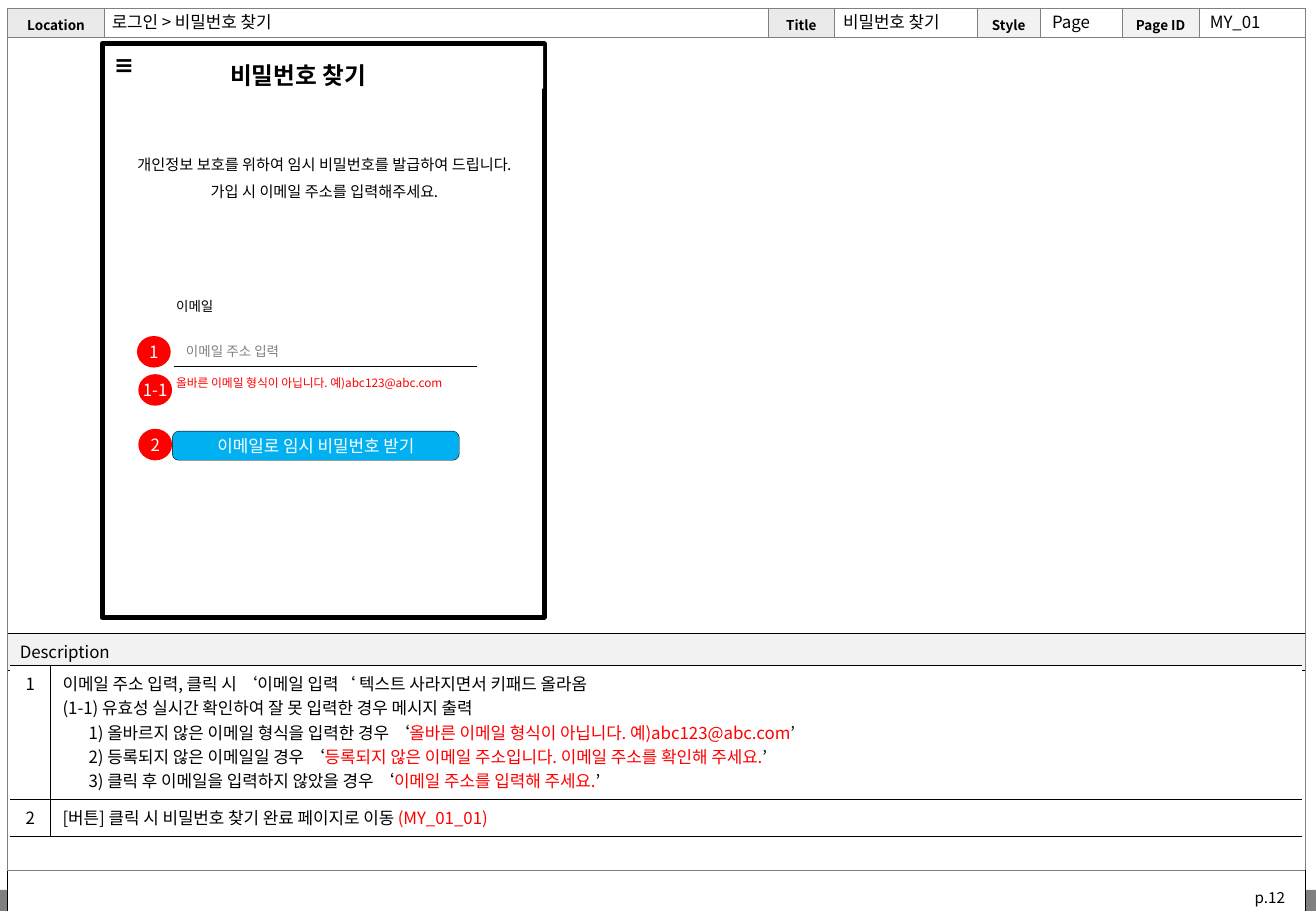
from lxml import etree
from pptx import Presentation
from pptx import util as u
from pptx.dml import color as dml
from pptx.enum import shapes, text
from pptx.oxml import ns

Pt = u.Pt
LEFT, CENTER = text.PP_ALIGN.LEFT, text.PP_ALIGN.CENTER
TOP, MIDDLE, BOTTOM = (text.MSO_ANCHOR.TOP, text.MSO_ANCHOR.MIDDLE,
                       text.MSO_ANCHOR.BOTTOM)


class Theme:
    font, icon_font = "Noto Sans CJK KR", "Roboto"
    black, white, gray = "000000", "FFFFFF", "808080"
    label, pale, red, blue = "EAEAEA", "F2F2F2", "FF0000", "00B0F0"
    hint, small, note, base, heading = 7, 8, 9, 10, 14
    inset, flush, value = (7.2, 3.6, 7.2, 3.6), (0, 0, 0, 0), (5.76, 0, 0, 0)


def write(holder, lines, size=Theme.base, color=Theme.black, bold=False,
          align=LEFT, anchor=TOP, margins=Theme.inset, spacing=None,
          font=Theme.font, wrap=True):
    """Each line is a list of pieces; every second piece is red."""
    frame = holder.text_frame
    if hasattr(holder, "shape_type"):
        frame.auto_size, frame.word_wrap = text.MSO_AUTO_SIZE.NONE, wrap
        box = frame
    else:
        box = holder
    box.vertical_anchor = anchor
    box.margin_left, box.margin_top, box.margin_right, box.margin_bottom = map(Pt, margins)
    for row, pieces in enumerate(lines):
        para = frame.add_paragraph() if row else frame.paragraphs[0]
        para.text = pieces[0]
        for piece in pieces[1:]:
            para.add_run().text = piece
        para.alignment = align
        if spacing:
            para.line_spacing = spacing
        for index, span in enumerate(para.runs):
            span.font.size, span.font.bold, span.font.name = Pt(size), bold, font
            span.font.color.rgb = dml.RGBColor.from_string(
                Theme.red if index % 2 else color)
            east = etree.SubElement(span.font._element, ns.qn("a:ea"))
            east.set("typeface", font)


def make_table(left, top, widths, heights, edges, fills, color=Theme.black, weight=0.25):
    """Edges and fills are given per row and column."""
    holder = page.shapes.add_table(len(heights), len(widths), Pt(left), Pt(top),
                                   Pt(sum(widths)), Pt(sum(heights)))
    table = holder.table
    table.first_row = table.horz_banding = False
    for style in holder._element.iter(ns.qn("a:tableStyleId")):
        style.text = "{2D5ABB26-0587-4C30-8999-92F81FD0307C}"
    for column, width in zip(table.columns, widths):
        column.width = Pt(width)
    for r, height in enumerate(heights):
        table.rows[r].height = Pt(height)
        for c in range(len(widths)):
            cell = table.cell(r, c)
            if fills[r][c]:
                cell.fill.solid()
                cell.fill.fore_color.rgb = dml.RGBColor.from_string(fills[r][c])
            else:
                cell.fill.background()
            end = etree.SubElement(cell.text_frame.paragraphs[0]._p, ns.qn("a:endParaRPr"))
            end.set("sz", str(Theme.small * 100))
            for place, side in enumerate(edges[r][c]):
                line = etree.Element(ns.qn("a:ln" + side), w=str(Pt(weight)))
                solid = etree.SubElement(line, ns.qn("a:solidFill"))
                etree.SubElement(solid, ns.qn("a:srgbClr"), val=color)
                cell._tc.get_or_add_tcPr().insert(place, line)
    return table


deck = Presentation()
deck.slide_width, deck.slide_height = Pt(780), Pt(540)
page = deck.slides.add_slide(deck.slide_layouts[5])


def_shapes = shapes.MSO_SHAPE
# Plain shapes: kind, place, fill, line colour, line width
blocks = {
    "footer": (def_shapes.RECTANGLE, (0, 527.5, 780, 12.5), Theme.gray, None, 0),
    "menu": (def_shapes.RECTANGLE, (60.5, 26, 262, 24.5), Theme.white, None, 0),
    "phone": (def_shapes.RECTANGLE, (60.5, 26, 262, 340), None, Theme.black, 3),
    "heading": (def_shapes.RECTANGLE, (81.4, 27.4, 240.5, 25.2), Theme.white, None, 0),
    "button": (def_shapes.ROUNDED_RECTANGLE, (102.2, 255.6, 170, 17.2),
               Theme.blue, Theme.black, 0.25),
    "1": (def_shapes.OVAL, (81.2, 199.2, 20, 18.7), Theme.red, None, 0),
    "1-1": (def_shapes.OVAL, (82, 221.8, 20, 18.7), Theme.red, None, 0),
    "2": (def_shapes.OVAL, (82, 254.2, 20, 18.7), Theme.red, None, 0),
}
drawn = {}
for name, (kind, place, fill, line, weight) in blocks.items():
    shape = drawn[name] = page.shapes.add_shape(kind, *map(Pt, place))
    shape.shadow.inherit = False
    if fill:
        shape.fill.solid()
        shape.fill.fore_color.rgb = dml.RGBColor.from_string(fill)
    else:
        shape.fill.background()
    if line:
        shape.line.color.rgb = dml.RGBColor.from_string(line)
        shape.line.width = Pt(weight)
    else:
        shape.line.fill.background()
    # Description panel sits right above the footer bar
    if name == "footer":
        panel = make_table(4.5, 375.2, [769], [21.8, 146], [["LRTB"]] * 2,
                           [[Theme.pale], [Theme.white]])
        write(panel.cell(0, 0), [["Description"]])

# Phone screen labels
write(drawn["menu"], [["≡"]], Theme.heading, bold=True, font=Theme.icon_font)
write(drawn["heading"], [["비밀번호 찾기"]], Theme.heading, bold=True,
      anchor=MIDDLE, margins=(55, 0, 0, 0), spacing=1.5)
drawn["button"].adjustments[0] = 0.22
write(drawn["button"], [["이메일로 임시 비밀번호 받기"]], color=Theme.white,
      align=CENTER, anchor=MIDDLE)
for number in ("1", "1-1", "2"):
    write(drawn[number], [[number]], color=Theme.white, align=CENTER,
          anchor=MIDDLE, margins=(2.88,) * 4, wrap=False)

# Header bar and page border
header = make_table(4.5, 4.7, [57.5, 393.5, 39, 85, 37, 48.7, 45.7, 62.6], [17.2, 494],
                    [["LRTB"] * 8] * 2,
                    [[Theme.label, None, Theme.label, None, Theme.pale, None,
                      Theme.pale, None], [None] * 8], Theme.gray)
header.cell(1, 0).merge(header.cell(1, 7))
for column, label in zip(range(0, 8, 2), ("Location", "Title", "Style", "Page ID")):
    write(header.cell(0, column), [[label]], Theme.small, bold=True,
          align=CENTER, anchor=MIDDLE, margins=(0, 2, 0, 0))

# Page title
title = page.shapes.title
title.left, title.top, title.width, title.height = map(Pt, (60.5, 4.3, 394, 16.6))
write(title, [["로그인 > 비밀번호 찾기"]], anchor=MIDDLE, margins=Theme.value)

# Text boxes: place, lines, formatting
value = dict(anchor=MIDDLE, margins=Theme.value)
label = dict(anchor=MIDDLE, margins=Theme.flush)
captions = [
    ((494, 5, 119.5, 16), ["비밀번호 찾기"], value),
    ((617.8, 5, 42.5, 16), ["Page"], value),
    ((711.4, 5, 60.5, 16), ["MY_01"], value),
    ((65.5, 86.4, 253.5, 32.4), ["개인정보 보호를 위하여 임시 비밀번호를 발급하여 드립니다.",
                                 "가입 시 이메일 주소를 입력해주세요."],
     dict(label, size=Theme.note, align=CENTER, spacing=1.5)),
    ((104.4, 177, 75, 9.4), ["이메일"], dict(label, size=Theme.small)),
    ((104.4, 222.5, 201, 8.6), ["올바른 이메일 형식이 아닙니다. 예)abc123@abc.com"],
     dict(label, size=Theme.hint, color=Theme.red)),
    ((736.6, 523, 43.2, 17), ["p.12"], dict(size=Theme.note)),
]
for place, lines, look in captions:
    write(page.shapes.add_textbox(*map(Pt, place)), [[line] for line in lines], **look)

# Email field
field = make_table(103, 190, [180], [27.4, 27.4], [["B"], ["T"]], [[None]] * 2, weight=1)
write(field.cell(0, 0), [["이메일 주소 입력"]], Theme.small, Theme.gray, anchor=BOTTOM)

# Description rows
details = make_table(5.9, 394.2, [24, 741.7], [79.7, 21.9], [["TB", "LTB"]] * 2,
                     [[Theme.white] * 2] * 2)
notes = [
    [["이메일 주소 입력, 클릭 시 ‘이메일 입력‘ 텍스트 사라지면서 키패드 올라옴"],
     ["(1-1) 유효성 실시간 확인하여 잘 못 입력한 경우 메시지 출력"],
     ["1) 올바르지 않은 이메일 형식을 입력한 경우 ‘",
      "올바른 이메일 형식이 아닙니다. 예)abc123@abc.com", "’"],
     ["2) 등록되지 않은 이메일일 경우 ‘",
      "등록되지 않은 이메일 주소입니다. 이메일 주소를 확인해 주세요.", "’"],
     ["3) 클릭 후 이메일을 입력하지 않았을 경우 ‘", "이메일 주소를 입력해 주세요.", "’"]],
    [["[버튼] 클릭 시 비밀번호 찾기 완료 페이지로 이동 ", "(MY_01_01)"]],
]
for row, lines in enumerate(notes):
    write(details.cell(row, 0), [[str(row + 1)]], align=CENTER)
    write(details.cell(row, 1), lines)
for para in details.cell(0, 1).text_frame.paragraphs[2:]:
    para._p.get_or_add_pPr().set("marL", str(Pt(15.4)))

deck.save("out.pptx")
